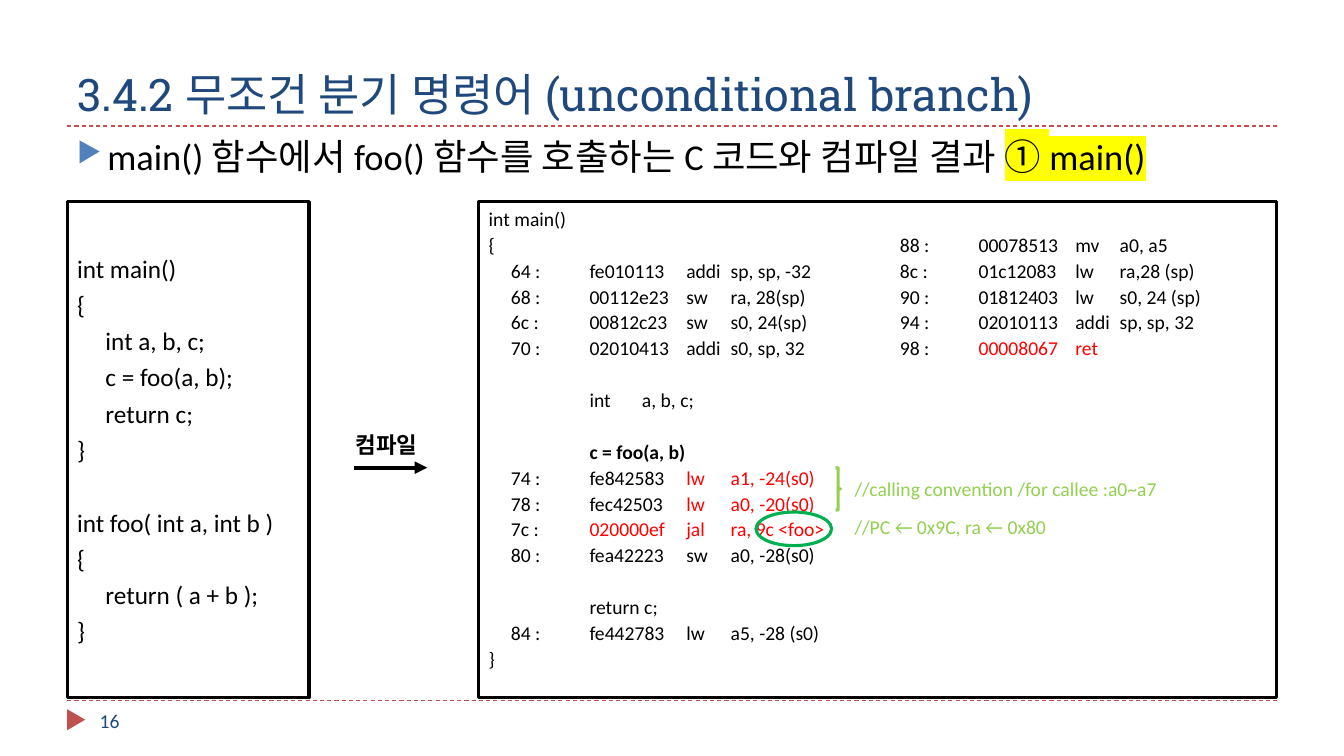
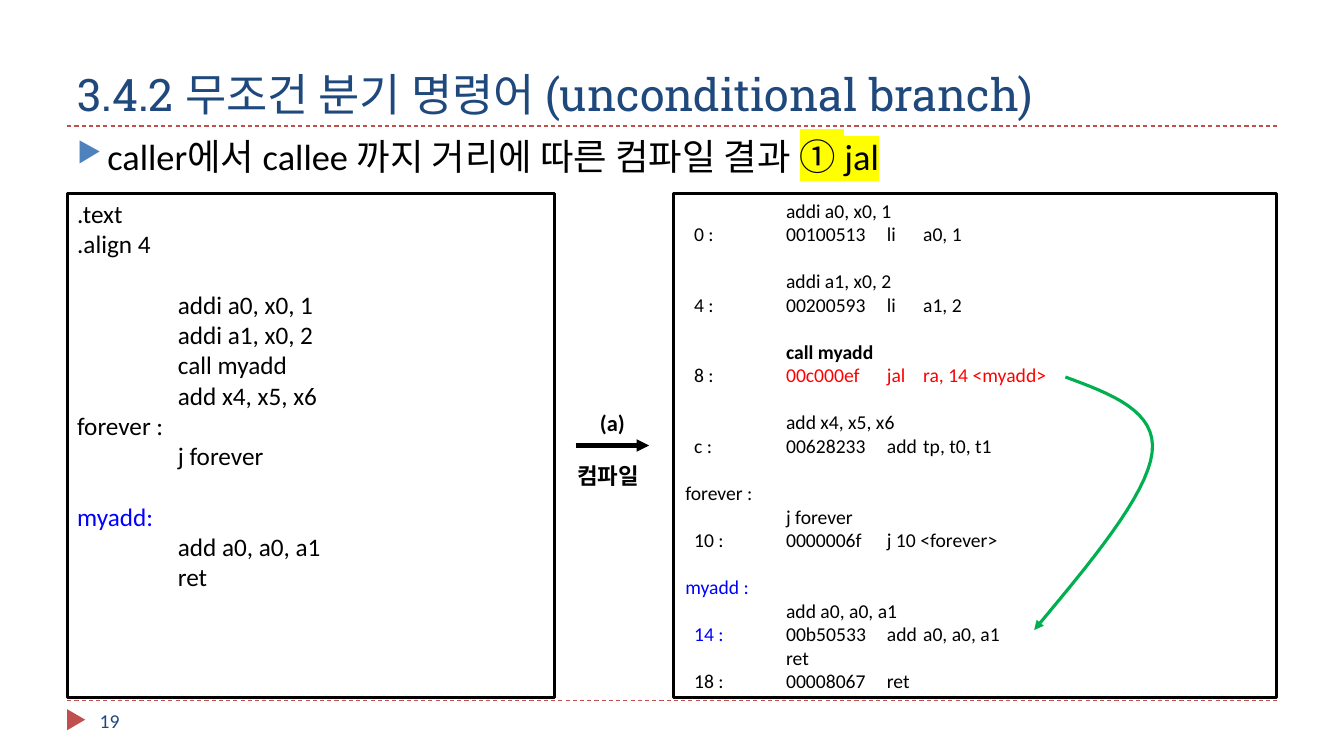
from lxml.etree import SubElement as Sub
from pptx import Presentation
from pptx.dml.color import RGBColor
from pptx.enum.dml import MSO_LINE as Dash
from pptx.enum.shapes import MSO_CONNECTOR as Conn, MSO_SHAPE as Kind
from pptx.enum.text import MSO_ANCHOR as Anchor, MSO_AUTO_SIZE as Auto, PP_ALIGN as Align
from pptx.oxml.ns import qn
from pptx.util import Inches, Pt

# Grid: 40 columns by 22.5 rows of square cells
CELL = Inches(1) // 3
COLS, ROWS = 40, 22.5
LEFT, RIGHT = 2, 38
TOP, FOOT = 3.75, 20.85

# Shared look
SANS, SLAB = "Calibri", "Roboto Slab"
BLACK, NAVY, BRICK, SKY = "000000", "1F497D", "C0504D", "4F81BD"
RED, BLUE, GREEN, LIME, GLOW = "FF0000", "0000FF", "00B050", "92D050", "FFFF00"
TITLE = "3.4.2 무조건 분기 명령어 (unconditional branch)"
LEAD = 1.2  # line height per point of text size


def rgb(code):
    return RGBColor.from_string(code)


def grid(*cells):
    return [round(c * CELL) for c in cells]


def red(text):
    return text, RED


def blue(text):
    return text, BLUE


def bold(text):
    return text, BLACK, True


# ---- Text ----
def add_run(para, text, size, color=BLACK, heavy=False, font=SANS, glow=None):
    run = para.add_run()
    run.text = text
    face = run.font
    face.size, face.bold = Pt(size), heavy
    face.color.rgb = rgb(color)
    if glow:
        mark = Sub(run._r.get_or_add_rPr(), qn("a:highlight"))
        Sub(mark, qn("a:srgbClr"), val=glow)
    face.name = font


def add_box(slide, area, anchor=Anchor.TOP):
    frame = slide.shapes.add_textbox(*grid(*area)).text_frame
    frame.word_wrap = True
    frame.vertical_anchor = anchor
    return frame


def add_label(slide, area, text, size, color=BLACK, heavy=False,
              align=Align.LEFT, anchor=Anchor.TOP):
    para = add_box(slide, area, anchor).paragraphs[0]
    para.alignment = align
    add_run(para, text, size, color, heavy)


def add_code(slide, area, lines, size, pitch=1.0, stops=()):
    """One paragraph a line; None leaves a gap of one line."""
    frame = add_box(slide, area)
    para, gap = None, False
    for line in lines:
        if line is None:
            gap = True
            continue
        para = frame.add_paragraph() if para else frame.paragraphs[0]
        if stops:
            tabs = Sub(para._p.get_or_add_pPr(), qn("a:tabLst"))
            for stop in stops:
                Sub(tabs, qn("a:tab"), pos=str(Inches(stop)), algn="l")
        para.line_spacing = pitch
        if gap:
            para.space_before = Pt(round(size * LEAD * pitch, 2))
        gap = False
        for part in line if isinstance(line, list) else [line]:
            add_run(para, *((part, size) if isinstance(part, str)
                            else (part[0], size, *part[1:])))


# ---- Lines and shapes ----
def style_line(shape, color, width):
    shape.line.color.rgb = rgb(color)
    shape.line.width = Pt(width)


def add_tip(shape):
    Sub(shape.line._get_or_add_ln(), qn("a:tailEnd"), type="triangle")


def add_line(slide, ends, color, width, dash=None, tip=False):
    line = slide.shapes.add_connector(Conn.STRAIGHT, *grid(*ends))
    style_line(line, color, width)
    if dash:
        line.line.dash_style = dash
    if tip:
        add_tip(line)
    Sub(line._element.spPr, qn("a:effectLst"))


def add_frame(slide, area, kind=Kind.RECTANGLE, color=BLACK):
    shape = slide.shapes.add_shape(kind, *grid(*area))
    shape.shadow.inherit = False
    shape.fill.background()
    style_line(shape, color, 2.25)


def add_curve(slide, start, bends, color, steps=16):
    points, here = [], start
    for one, two, end in bends:
        for t in (n / steps for n in range(1, steps + 1)):
            u = 1 - t
            points.append(grid(*(
                u**3 * a + 3 * u * u * t * b + 3 * u * t * t * c + t**3 * d
                for a, b, c, d in zip(here, one, two, end))))
        here = end
    pen = slide.shapes.build_freeform(*grid(*start))
    pen.add_line_segments(points, close=False)
    curve = pen.convert_to_shape()
    curve.shadow.inherit = False
    curve.fill.background()
    style_line(curve, color, 2.25)
    add_tip(curve)


def add_arrow(slide, col, row):
    add_line(slide, (col, row, col + 2.19, row), BLACK, 3, tip=True)


# ---- Parts on every slide ----
def add_base(deck, topic, key, number):
    slide = deck.slides.add_slide(deck.slide_layouts[5])
    for row in (FOOT, TOP):
        add_line(slide, (LEFT, row, RIGHT, row), BRICK, 0.75, Dash.DASH)
    mark = slide.shapes.add_shape(Kind.ISOSCELES_TRIANGLE, *grid(1.95, 21.15, 0.63, 0.54))
    mark.rotation = 90
    mark.shadow.inherit = False
    mark.fill.solid()
    mark.fill.fore_color.rgb = rgb(BRICK)
    mark.line.fill.background()

    # Title
    head = slide.shapes.title
    head.left, head.top, head.width, head.height = grid(LEFT, 0.5, RIGHT - LEFT, 3.25)
    frame = head.text_frame
    frame.auto_size, frame.word_wrap = Auto.NONE, True
    frame.vertical_anchor = Anchor.BOTTOM
    para = frame.paragraphs[0]
    para.alignment = Align.LEFT
    add_run(para, TITLE, 32, NAVY, font=SLAB)

    # Topic with its bullet
    frame = add_box(slide, (LEFT, 4, RIGHT - LEFT, 1.9))
    frame.margin_top = 0
    para = frame.paragraphs[0]
    props = para._p.get_or_add_pPr()
    props.set("marL", str(Inches(0.3)))
    props.set("indent", str(-Inches(0.3)))
    Sub(Sub(props, qn("a:buClr")), qn("a:srgbClr"), val=SKY)
    Sub(props, qn("a:buSzPct"), val="76000")
    Sub(props, qn("a:buChar"), char="▶")
    add_run(para, topic, 26)
    add_run(para, key, 26, glow=GLOW)

    # Page number
    add_label(slide, (2.67, FOOT, 8.67, 1.2), number, 14, NAVY, anchor=Anchor.MIDDLE)
    return slide


# ---- Slides ----
def add_main(deck):
    slide = add_base(deck, "main() 함수에서 foo() 함수를 호출하는 C 코드와 컴파일 결과 ",
                     "① main()", "16")
    # C source
    add_frame(slide, (LEFT, 6, 7.2, 14.76))
    add_code(slide, (LEFT, 7.2, 7.2, 12.2), [
        "int main()", "{", "     int a, b, c;", "     c = foo(a, b);",
        "     return c;", "}", None,
        "int foo( int a, int b )", "{", "     return ( a + b );", "}",
    ], 18, 1.2)
    add_arrow(slide, 10.53, 13.92)
    add_label(slide, (10.29, 12.69, 2.91, 1.11), "컴파일", 16, heavy=True)

    # Machine code in two columns
    add_frame(slide, (14.25, 6, 23.75, 14.76))
    stops = (1, 1.52, 1.96, 2.4)
    add_code(slide, (14.25, 5.94, 11.6, 14.7), [
        "int main()", "{",
        "     64 :\tfe010113\taddi\tsp, sp, -32",
        "     68 :\t00112e23\tsw\tra, 28(sp)",
        "     6c :\t00812c23\tsw\ts0, 24(sp)",
        "     70 :\t02010413\taddi\ts0, sp, 32", None,
        "\tint\ta, b, c;", None,
        ["\t", bold("c = foo(a, b)")],
        ["     74 :\tfe842583\t", red("lw\ta1, -24(s0)")],
        ["     78 :\tfec42503\t", red("lw\ta0, -20(s0)")],
        ["     7c :\t", red("020000ef\tjal\tra, 9c <foo>")],
        "     80 :\tfea42223\tsw\ta0, -28(s0)", None,
        "\treturn c;",
        "     84 :\tfe442783\tlw\ta5, -28 (s0)", "}",
    ], 14, 1.1, stops)
    add_code(slide, (25.83, 6.71, 11.6, 4.2), [
        "     88 :\t00078513\tmv\ta0, a5",
        "     8c :\t01c12083\tlw\tra,28 (sp)",
        "     90 :\t01812403\tlw\ts0, 24 (sp)",
        "     94 :\t02010113\taddi\tsp, sp, 32",
        ["     98 :\t", red("00008067\tret")],
    ], 14, 1.1, stops)

    # Remarks on the call
    add_frame(slide, (22.5, 15.24, 2.25, 1), Kind.OVAL, GREEN)
    add_frame(slide, (24.87, 13.92, 0.15, 1.26), Kind.RIGHT_BRACE, LIME)
    for row, note in ((14.04, "//calling convention /for callee :a0~a7"),
                      (15.18, "//PC ← 0x9C, ra ← 0x80")):
        add_label(slide, (25.14, row, 12.8, 1.02), note, 14, LIME)


def add_jal(deck):
    slide = add_base(deck, "caller에서 callee 까지 거리에 따른 컴파일 결과 ", "① jal", "19")
    # Assembly source
    left = (LEFT, 5.76, 14.5, 15)
    add_frame(slide, left)
    add_code(slide, left, [
        ".text", ".align 4", None,
        "\taddi a0, x0, 1", "\taddi a1, x0, 2", "\tcall myadd", "\tadd x4, x5, x6",
        "forever :", "\tj forever", None,
        [blue("myadd:")], "\tadd a0, a0, a1", "\tret",
    ], 18, stops=(1,))
    add_arrow(slide, 17.13, 13.26)
    add_label(slide, (16.77, 12.03, 2.91, 1.11), "(a)", 16, heavy=True, align=Align.CENTER)
    add_label(slide, (16.89, 13.62, 2.91, 1.11), "컴파일", 16, heavy=True)

    # Machine code
    add_frame(slide, (20.04, 5.76, 17.96, 15))
    add_code(slide, (20.1, 5.76, 17.9, 15), [
        "\taddi a0, x0, 1", "  0 :\t00100513\tli\ta0, 1", None,
        "\taddi a1, x0, 2", "  4 :\t00200593\tli\ta1, 2", None,
        ["\t", bold("call myadd")],
        ["  8 :\t", red("00c000ef\tjal\tra, 14 <myadd>")], None,
        "\tadd x4, x5, x6", "  c :\t00628233\tadd\ttp, t0, t1", None,
        "forever :", "\tj forever", "  10 :\t0000006f\tj 10 <forever>", None,
        [blue("myadd :")], "\tadd a0, a0, a1",
        [blue("  14 :"), "\t00b50533\tadd\ta0, a0, a1"],
        "\tret", "  18 :\t00008067\tret",
    ], 14, stops=(1, 2, 2.36))

    # Jump from the call to its target
    add_curve(slide, (31.71, 11.22), [
        ((33.09, 11.73), (34.44, 12.24), (34.29, 13.47)),
        ((34.14, 14.73), (32.46, 16.74), (30.78, 18.75)),
    ], GREEN)


def main():
    deck = Presentation()
    deck.slide_width, deck.slide_height = grid(COLS, ROWS)
    add_main(deck)
    add_jal(deck)
    deck.save("out.pptx")


if __name__ == "__main__":
    main()
